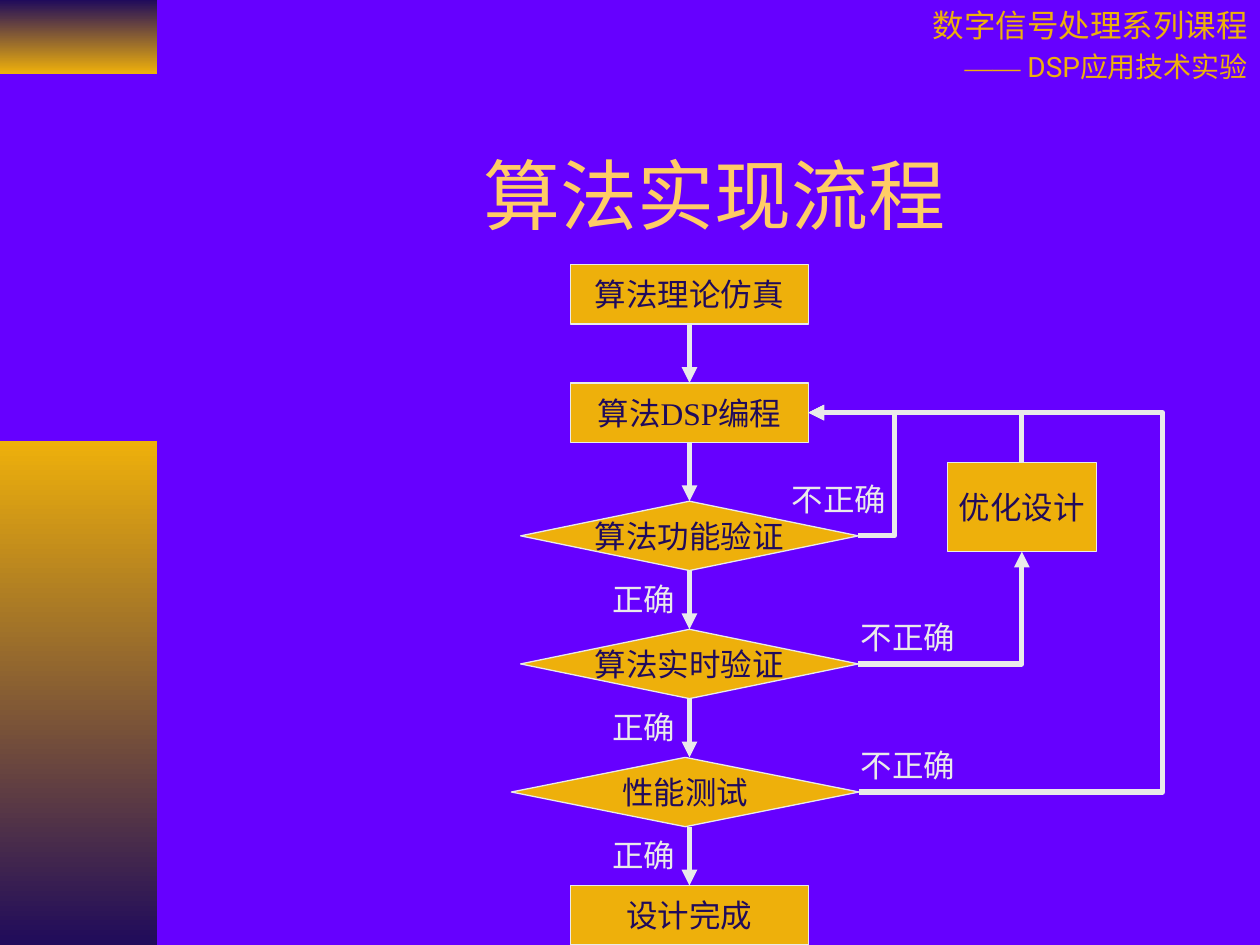
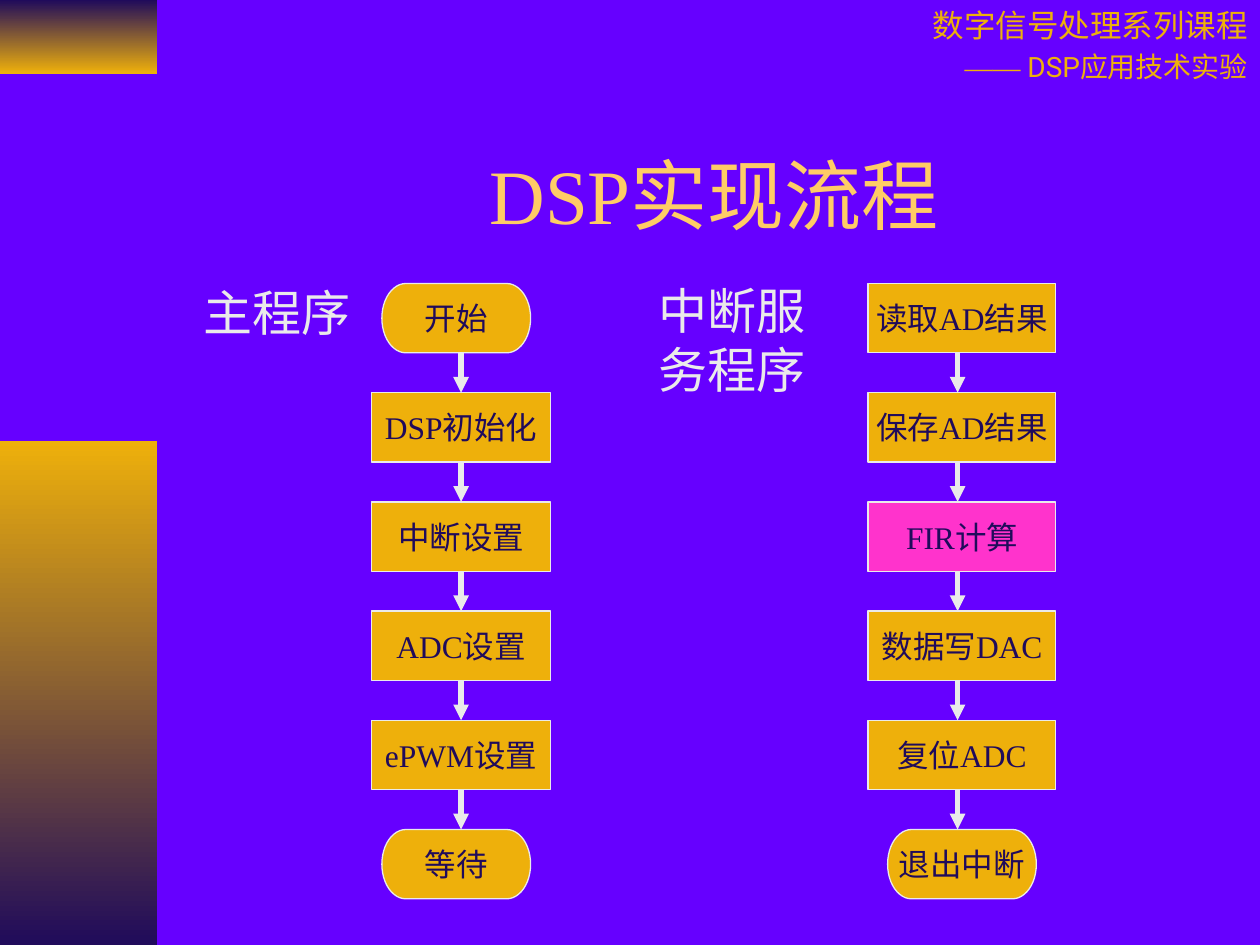
from dataclasses import dataclass

from lxml import etree
from pptx import Presentation
from pptx.dml.color import RGBColor
from pptx.enum.lang import MSO_LANGUAGE_ID
from pptx.enum.shapes import MSO_CONNECTOR, MSO_SHAPE
from pptx.enum.text import MSO_ANCHOR, MSO_AUTO_SIZE, PP_ALIGN
from pptx.oxml.ns import qn
from pptx.util import Pt

STRAIGHT, ELBOW = MSO_CONNECTOR.STRAIGHT, MSO_CONNECTOR.ELBOW
PROCESS = MSO_SHAPE.RECTANGLE
DECISION = MSO_SHAPE.FLOWCHART_DECISION
TERMINATOR = MSO_SHAPE.FLOWCHART_TERMINATOR
CENTER, RIGHT = PP_ALIGN.CENTER, PP_ALIGN.RIGHT
MIDDLE, TOP = MSO_ANCHOR.MIDDLE, MSO_ANCHOR.TOP
NO_FIT = MSO_AUTO_SIZE.NONE
CHINESE = MSO_LANGUAGE_ID.SIMPLIFIED_CHINESE
TOP_SIDE, BOTTOM_SIDE = 0, 2


@dataclass(frozen=True)
class Theme:
    background: str = "6600FF"
    gold: str = "EEB00B"
    navy: str = "200B5B"
    light: str = "EAEAEA"
    title: str = "FFCC66"
    accent: str = "FF33CC"
    serif: str = "Times New Roman"
    sans: str = "Roboto"
    chinese: str = "Noto Sans CJK SC"
    title_size: int = 44
    heading_size: int = 28
    body_size: int = 18
    small_size: int = 16
    outline: float = 0.75
    link: int = 3


THEME = Theme()


@dataclass(frozen=True)
class Step:
    text: str
    kind: int
    width: float
    height: float
    shift: float = 0
    color: str = THEME.gold


def rgb(code):
    return RGBColor.from_string(code)


def apply(target, formats):
    for name, value in formats.items():
        setattr(target, name, value)


def write_run(paragraph, text, size, color, face=THEME.serif):
    run = paragraph.add_run()
    run.text = text
    apply(run.font, {"size": Pt(size), "name": face, "language_id": CHINESE})
    run.font.color.rgb = rgb(color)


def write_line(frame, text, size, color, align, anchor=TOP, wrap=False):
    apply(frame, {"auto_size": NO_FIT, "word_wrap": wrap, "vertical_anchor": anchor})
    paragraph = frame.paragraphs[0]
    paragraph.alignment = align
    write_run(paragraph, text, size, color)


def add_label(slide, box, text, size=THEME.body_size, wrap=False):
    label = slide.shapes.add_textbox(*map(Pt, box))
    write_line(label.text_frame, text, size, THEME.light, RIGHT, wrap=wrap)


def add_node(slide, box, step):
    node = slide.shapes.add_shape(step.kind, *map(Pt, box))
    node.shadow.inherit = False
    node.fill.solid()
    node.fill.fore_color.rgb = rgb(step.color)
    node.line.color.rgb = rgb(THEME.light)
    node.line.width = Pt(THEME.outline)
    write_line(node.text_frame, step.text, THEME.body_size, THEME.navy, CENTER, MIDDLE)
    return node


def add_link(slide, kind, start, end):
    link = slide.shapes.add_connector(kind, *map(int, (*start, *end)))
    link.line.color.rgb = rgb(THEME.light)
    link.line.width = Pt(THEME.link)
    etree.SubElement(link.line._get_or_add_ln(), qn("a:tailEnd"), type="triangle")
    etree.SubElement(link.element.spPr, qn("a:effectLst"))
    return link


def add_corner(slide, start, end):
    corner = add_link(slide, ELBOW, start, end)
    corner.element.spPr.find(qn("a:prstGeom")).set("prst", "bentConnector2")
    return corner


def add_rising_corner(slide, start, end):
    middle_x, middle_y = (start[0] + end[0]) / 2, (start[1] + end[1]) / 2
    half_run, half_rise = (start[0] - end[0]) / 2, (start[1] - end[1]) / 2
    corner = add_corner(slide, (middle_x + half_rise, middle_y - half_run),
                        (middle_x - half_rise, middle_y + half_run))
    corner.element.spPr.find(qn("a:xfrm")).set("rot", "5400000")


def add_detour(slide, start, end, via):
    detour = add_link(slide, ELBOW, start, end)
    share = round((via - start[0]) / (end[0] - start[0]) * 100000)
    geometry = detour.element.spPr.find(qn("a:prstGeom"))
    adjustments = geometry.find(qn("a:avLst"))
    if adjustments is None:
        adjustments = etree.SubElement(geometry, qn("a:avLst"))
    etree.SubElement(adjustments, qn("a:gd"), name="adj1", fmla=f"val {share}")


def center_x(node):
    return node.left + node.width // 2


def right_middle(node):
    return node.left + node.width, node.top + node.height // 2


def add_flow(slide, axis, top, gap, steps):
    nodes = []
    for step in steps:
        left = axis + step.shift - step.width / 2
        nodes.append(add_node(slide, (left, top, step.width, step.height), step))
        top += step.height + gap
    for upper, lower in zip(nodes, nodes[1:]):
        link = add_link(slide, STRAIGHT, (Pt(axis), upper.top + upper.height),
                        (Pt(axis), lower.top))
        if abs(center_x(upper) - Pt(axis)) < Pt(1):
            link.begin_connect(upper, BOTTOM_SIDE)
        if abs(center_x(lower) - Pt(axis)) < Pt(1):
            link.end_connect(lower, TOP_SIDE)
    return nodes


def add_band(slide, box, colors):
    band = slide.shapes.add_shape(PROCESS, *map(Pt, box))
    band.shadow.inherit = False
    band.line.fill.background()
    band.fill.gradient()
    band.fill.gradient_angle = 270
    for stop, position, color in zip(band.fill.gradient_stops, (0, 1), colors):
        stop.position = position
        stop.color.rgb = rgb(color)
    return band


def add_course_name(slide, box):
    course = slide.shapes.add_textbox(*map(Pt, box))
    frame = course.text_frame
    frame.word_wrap = True
    lines = (
        (THEME.body_size, (("数字信号处理系列课程", THEME.chinese),)),
        (THEME.small_size, (("—— ", THEME.serif), ("DSP", THEME.sans),
                            ("应用技术实验", THEME.chinese))),
    )
    for index, (size, runs) in enumerate(lines):
        paragraph = frame.add_paragraph() if index else frame.paragraphs[0]
        apply(paragraph, {"alignment": RIGHT, "space_before": Pt(size * 0.2)})
        for text, face in runs:
            write_run(paragraph, text, size, THEME.gold, face)
    return course


def decorate_layout(layout, slide):
    layout.background.fill.solid()
    layout.background.fill.fore_color.rgb = rgb(THEME.background)
    decorations = (
        add_band(slide, (0, 0, 90, 42), (THEME.navy, THEME.gold)),
        add_band(slide, (0, 252, 90, 288), (THEME.gold, THEME.navy)),
        add_course_name(slide, (460.8, 0, 259.2, 51.84)),
    )
    for decoration in decorations:
        layout.shapes.element.append(decoration.element)


def add_titled_slide(deck, layout, text):
    slide = deck.slides.add_slide(layout)
    title = slide.shapes.title
    apply(title, {"left": Pt(102.2), "top": Pt(65.5), "width": Pt(612), "height": Pt(90)})
    write_line(title.text_frame, text, THEME.title_size, THEME.title, CENTER, MIDDLE, True)
    return slide


def add_algorithm_flow(slide, axis, top):
    box, diamond = (PROCESS, 136, 34), (DECISION, 193, 39.6)
    nodes = add_flow(slide, axis, top, 33.6, (
        Step("算法理论仿真", *box),
        Step("算法DSP编程", *box),
        Step("算法功能验证", *diamond),
        Step("算法实时验证", *diamond),
        Step("性能测试", DECISION, 198.7, 39.6, -2.4),
        Step("设计完成", *box),
    ))
    coding, *checks = nodes[1:5]
    function_check, realtime_check, performance_check = checks
    optimize = add_node(slide, (axis + 147.4, top + 113, 85, 51),
                        Step("优化设计", PROCESS, 85, 51))
    target = right_middle(coding)
    add_detour(slide, right_middle(function_check), target, Pt(axis + 117.2))
    add_corner(slide, right_middle(realtime_check),
               (center_x(optimize), optimize.top + optimize.height))
    add_rising_corner(slide, (center_x(optimize), optimize.top), target)
    add_detour(slide, right_middle(performance_check), target, Pt(axis + 270.4))
    for check, shift, rise in zip(checks, (51, 90.6, 90.6), (15.8, 9.8, 9.8)):
        check_top = check.top.pt
        add_label(slide, (axis + shift, check_top - rise, 68.4, 28.8), "不正确")
        add_label(slide, (axis - 51.3, check_top + 41.4, 50.4, 28.8), "正确")


def add_program_flows(slide, top):
    terminal = (TERMINATOR, 85, 39.6)
    box = (PROCESS, 102.2, 39.6)
    main_steps = ("DSP初始化", "中断设置", "ADC设置", "ePWM设置")
    add_flow(slide, 263.5, top, 22.8, (
        Step("开始", *terminal, -2.8),
        *(Step(text, *box) for text in main_steps),
        Step("等待", *terminal, -2.8),
    ))
    wide_box = (PROCESS, 107.3, 39.6, 2.5)
    add_flow(slide, 547.2, top, 22.8, (
        Step("读取AD结果", *wide_box),
        Step("保存AD结果", *wide_box),
        Step("FIR计算", *wide_box, THEME.accent),
        Step("数据写DAC", *wide_box),
        Step("复位ADC", *wide_box),
        Step("退出中断", *terminal, 2.5),
    ))
    add_label(slide, (108.7, top - 4.3, 98.6, 41), "主程序", THEME.heading_size)
    add_label(slide, (348.5, top - 5, 118.8, 74.2), "中断服务程序",
              THEME.heading_size, wrap=True)


def main():
    deck = Presentation()
    deck.slide_width, deck.slide_height = Pt(720), Pt(540)
    layout = deck.slide_layouts[5]
    algorithm = add_titled_slide(deck, layout, "算法实现流程")
    decorate_layout(layout, algorithm)
    add_algorithm_flow(algorithm, 394, 151.2)
    program = add_titled_slide(deck, layout, "DSP实现流程")
    add_program_flows(program, 162)
    deck.save("out.pptx")


if __name__ == "__main__":
    main()
